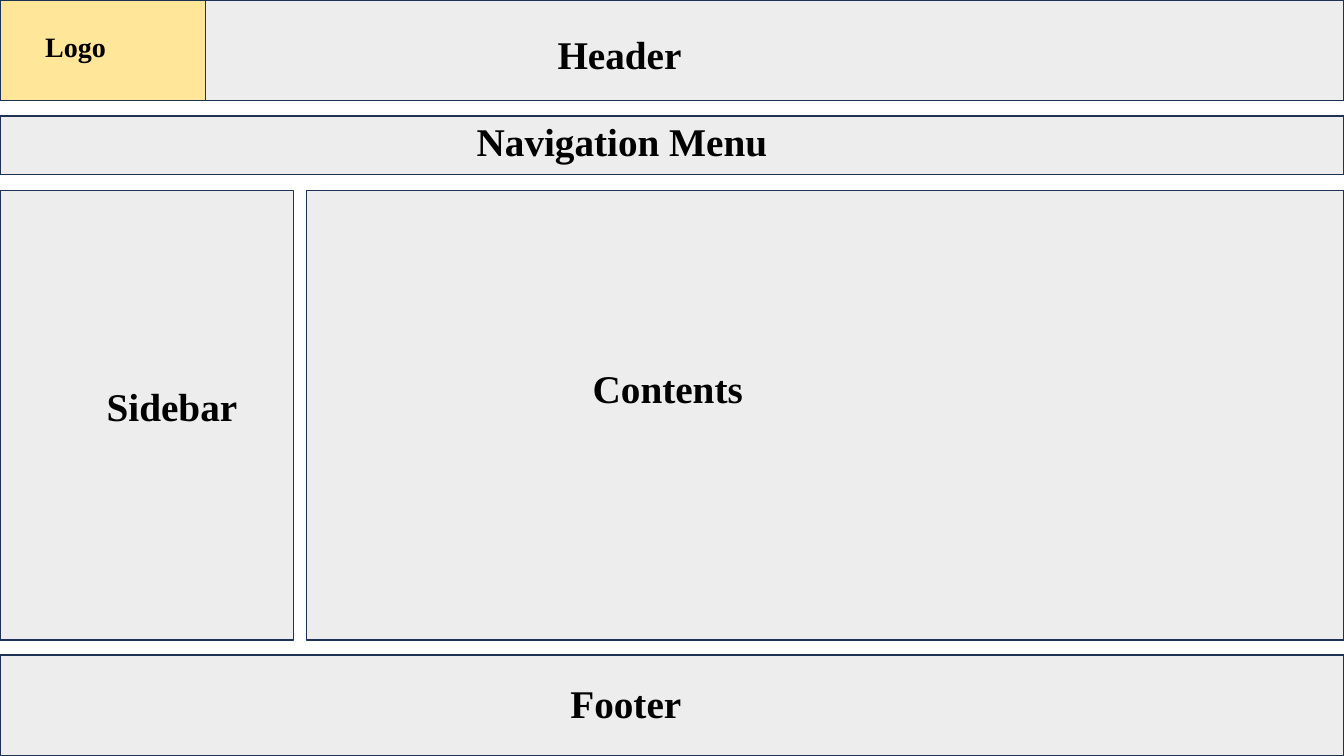
from pptx import Presentation
from pptx import util as u
from pptx.dml.color import RGBColor
from pptx.enum import shapes, text

WIDTH, HEIGHT, GAP = 13.33, 7.5, 0.15
GREY, GOLD, NAVY, BLACK = "EDEDED", "FFE699", "1E3256", "000000"


def color(code):
    """Turn a hex string into a colour."""
    return RGBColor.from_string(code)


def label(slide, words, box, size=28, center=False):
    """Write one bold line in a text box, centred or left-aligned."""
    area = slide.shapes.add_textbox(*map(u.Inches, box))
    frame = area.text_frame
    frame.word_wrap = True
    frame.vertical_anchor = text.MSO_ANCHOR.TOP if center else text.MSO_ANCHOR.MIDDLE
    line = frame.paragraphs[0]
    line.text = words
    line.alignment = text.PP_ALIGN.CENTER if center else text.PP_ALIGN.LEFT
    line.line_spacing = 1.0 if center else 0.9
    font = line.font
    font.name, font.size, font.bold = "Times New Roman", u.Pt(size), True
    font.color.rgb = color(BLACK)


def region(slide, words, box, inset, fill=GREY, size=28, center=False):
    """Draw a page region and its label, inset from the region's corner."""
    left, top, wide, high = box
    panel = slide.shapes.add_shape(shapes.MSO_SHAPE.RECTANGLE, *map(u.Inches, box))
    panel.shadow.inherit = False
    panel.fill.solid()
    panel.fill.fore_color.rgb = color(fill)
    panel.line.color.rgb = color(NAVY)
    panel.line.width = u.Pt(1)
    x, y, w, h = inset
    label(slide, words, (left + x, top + y, w, h), size, center)


def wireframe(slide, box):
    """Lay out the regions of a web page in the given box."""
    left, top, wide, high = box
    band, menu, side, split = 1, 0.58, 2.91, 0.13
    nav = top + band + GAP
    body = nav + menu + GAP + 0.01
    foot = top + high - band
    tall = foot - GAP - body
    main = left + side + split
    region(slide, "Header", (left, top, wide, band), (4.36, 0.25, 3.57, 0.57), center=True)
    region(slide, "Navigation Menu", (left, nav, wide, menu), (4.63, -0.01, 3.37, 0.58))
    region(slide, "Sidebar", (left, body, side, tall), (0.96, 1.88, 1.51, 0.58))
    region(slide, "Footer", (left, foot, wide, band), (5.56, 0.21, 1.66, 0.58))
    region(slide, "Contents", (main, body, left + wide - main, tall), (2.74, 1.7, 2.21, 0.58))
    region(slide, "Logo", (left, top, 2.04, band), (0.35, 0.19, 1.58, 0.58), GOLD, 20)


def main():
    """Build the slide and save it."""
    deck = Presentation()
    deck.slide_width, deck.slide_height = u.Inches(WIDTH), u.Inches(HEIGHT)
    slide = deck.slides.add_slide(deck.slide_layouts[6])
    wireframe(slide, (0, 0, WIDTH, HEIGHT))
    deck.save("out.pptx")


if __name__ == "__main__":
    main()
